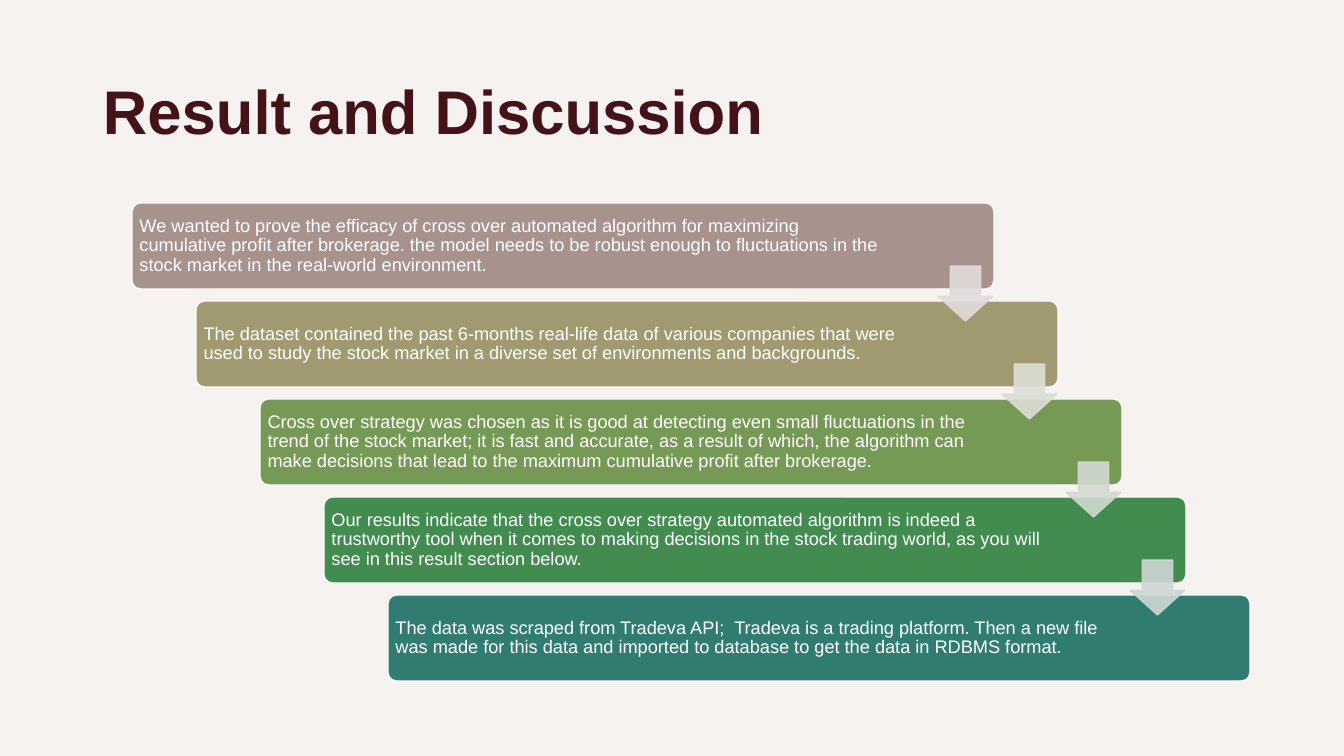
import pptx
import pptx.util
import pptx.dml.color
import pptx.enum.shapes
import pptx.enum.text
import pptx.oxml.ns

SCALE = 914400 / 100.8
FORMS = pptx.enum.shapes.MSO_SHAPE
ANCHOR = pptx.enum.text.MSO_ANCHOR
ALIGN = pptx.enum.text.PP_ALIGN


def px(size):
    return pptx.util.Emu(round(size * SCALE))


def tint(code):
    return pptx.dml.color.RGBColor.from_string(code)


class Deck:
    font = "Arial"
    ground = "F6F2F0"
    dark = "44131A"
    light = "FFFFFF"

    def __init__(self):
        self.show = pptx.Presentation()
        self.show.slide_width = px(1344)
        self.show.slide_height = px(756)
        self.slide = self.show.slides.add_slide(self.show.slide_layouts[6])
        fill = self.slide.background.fill
        fill.solid()
        fill.fore_color.rgb = tint(self.ground)

    def label(self, shape, text, size, color, anchor, pads):
        frame = shape.text_frame
        frame.word_wrap = True
        frame.vertical_anchor = anchor
        (frame.margin_left, frame.margin_top,
         frame.margin_right, frame.margin_bottom) = map(px, pads)
        line = frame.paragraphs[0]
        line.text = text
        line.alignment = ALIGN.LEFT
        line.line_spacing = 0.9
        line.font.name = self.font
        line.font.size = pptx.util.Pt(size)
        line.font.color.rgb = tint(color)
        return line

    def title(self, text, x, y, w, h):
        box = self.slide.shapes.add_textbox(px(x), px(y), px(w), px(h))
        line = self.label(box, text, 44, self.dark, ANCHOR.TOP, (10, 12, 10, 5))
        line.line_spacing = 1.0
        line.font.bold = True

    def form(self, kind, x, y, w, h, fill, edge, ratios):
        shape = self.slide.shapes.add_shape(kind, px(x), px(y), px(w), px(h))
        shape.shadow.inherit = False
        for spot, ratio in enumerate(ratios):
            shape.adjustments[spot] = ratio
        shape.fill.solid()
        shape.fill.fore_color.rgb = tint(fill)
        shape.line.color.rgb = tint(edge)
        shape.line.width = pptx.util.Pt(1)
        return shape

    def bar(self, text, x, y, w, h, fill, right):
        shape = self.form(FORMS.ROUNDED_RECTANGLE, x, y, w, h, fill, self.light, [0.1])
        self.label(shape, text, 13, self.light, ANCHOR.MIDDLE, (5, 5, right, 5))

    def arrow(self, x, y, side, fill):
        shape = self.form(FORMS.DOWN_ARROW, x, y, side, side, fill, fill, [0.55, 0.45])
        tag = pptx.oxml.ns.qn("a:srgbClr")
        for color in shape.element.spPr.iter(tag):
            alpha = color.makeelement(pptx.oxml.ns.qn("a:alpha"), {"val": "90000"})
            color.append(alpha)


STEPS = [
    ("A7928D", 103, "We wanted to prove the efficacy of cross over automated algorithm for "
     "maximizing cumulative profit after brokerage. the model needs to be robust enough to "
     "fluctuations in the stock market in the real-world environment."),
    ("A19A71", 125, "The dataset contained the past 6-months real-life data of various companies "
     "that were used to study the stock market in a diverse set of environments and backgrounds."),
    ("769A56", 125, "Cross over strategy was chosen as it is good at detecting even small "
     "fluctuations in the trend of the stock market; it is fast and accurate, as a result of "
     "which, the algorithm can make decisions that lead to the maximum cumulative profit after "
     "brokerage."),
    ("428C50", 125, "Our results indicate that the cross over strategy automated algorithm is "
     "indeed a trustworthy tool when it comes to making decisions in the stock trading world, "
     "as you will see in this result section below."),
    ("307C71", 125, "The data was scraped from Tradeva API;  Tradeva is a trading platform. Then "
     "a new file was made for this data and imported to database to get the data in RDBMS format."),
]
ARROWS = ["E1DCDB", "DDDED6", "D2DAD2", "CDD7D5"]
RIGHT, DOWN = 64, 98


def main():
    deck = Deck()
    deck.title("Result and Discussion", 93, 61, 1141, 141)
    for row, (fill, right, text) in enumerate(STEPS):
        deck.bar(text, 132 + row * RIGHT, 203 + row * DOWN, 862, 86, fill, right)
    for row, fill in enumerate(ARROWS):
        deck.arrow(938 + row * RIGHT, 266 + row * DOWN, 55, fill)
    deck.show.save("out.pptx")


if __name__ == "__main__":
    main()
